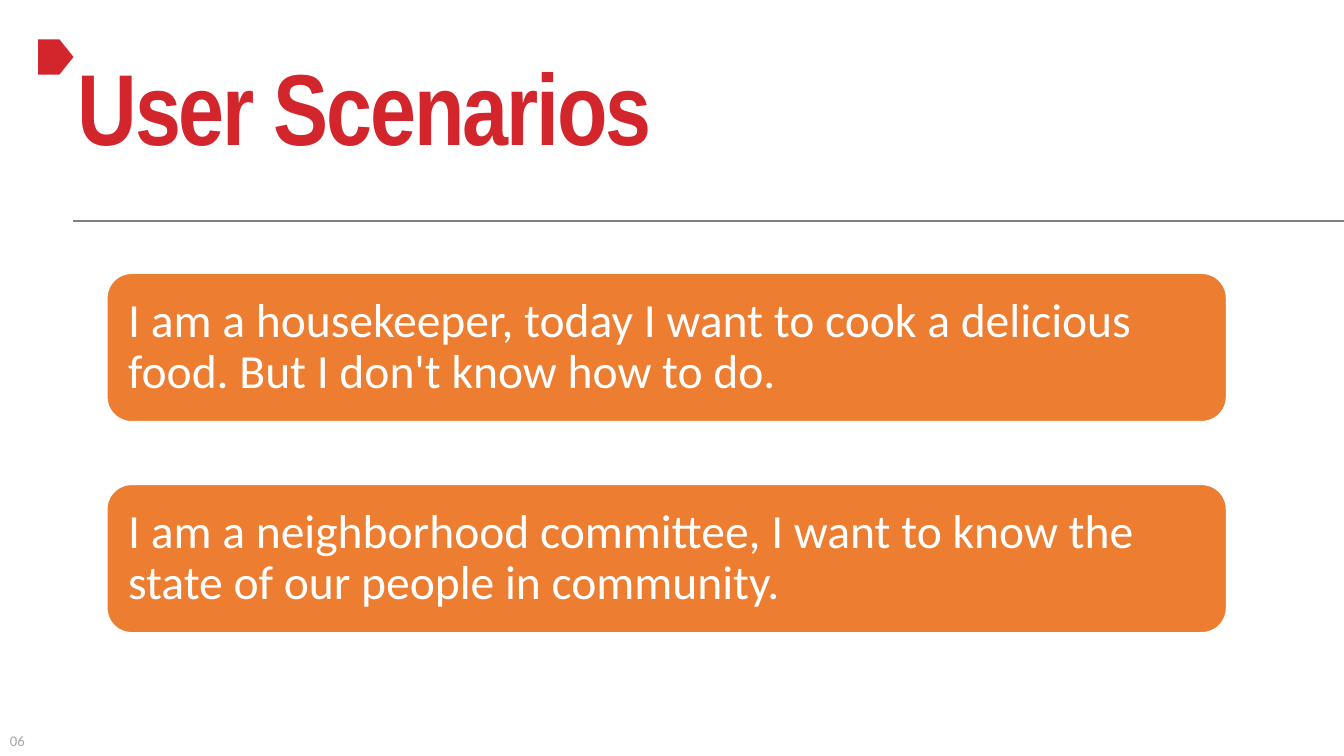
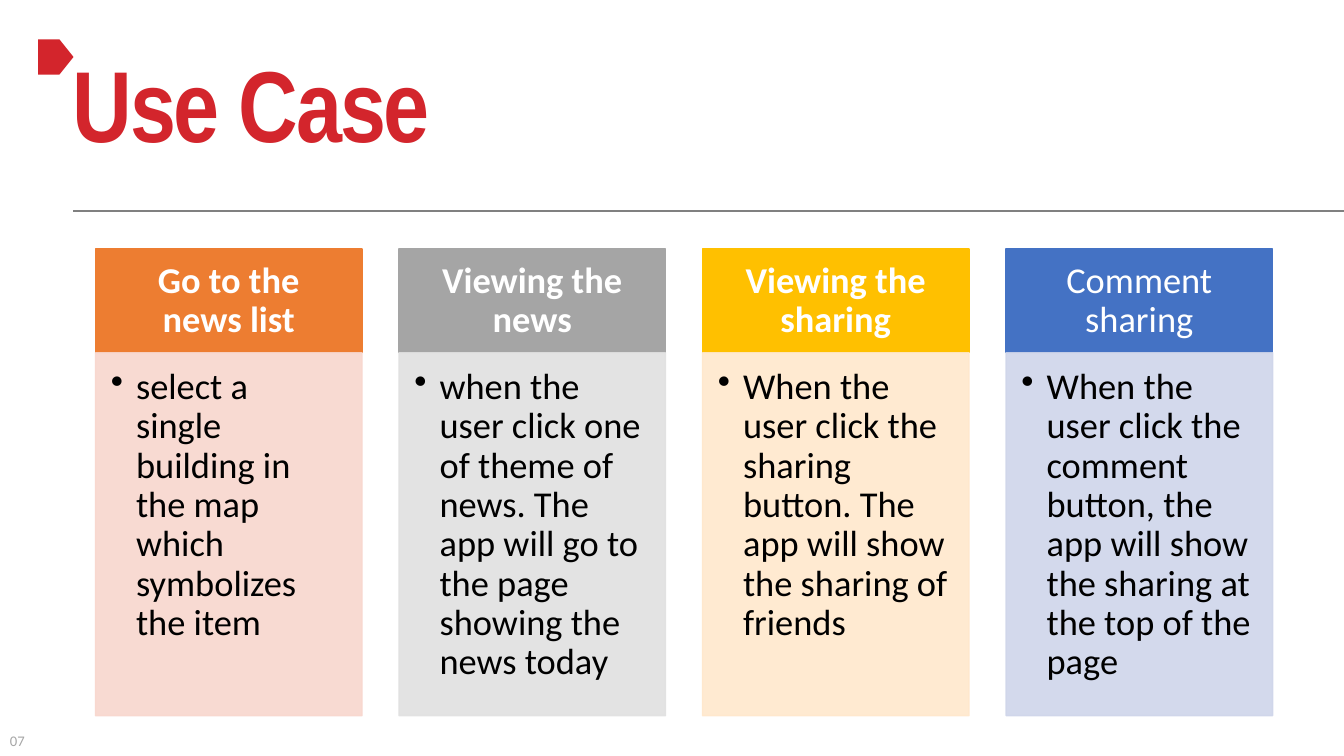
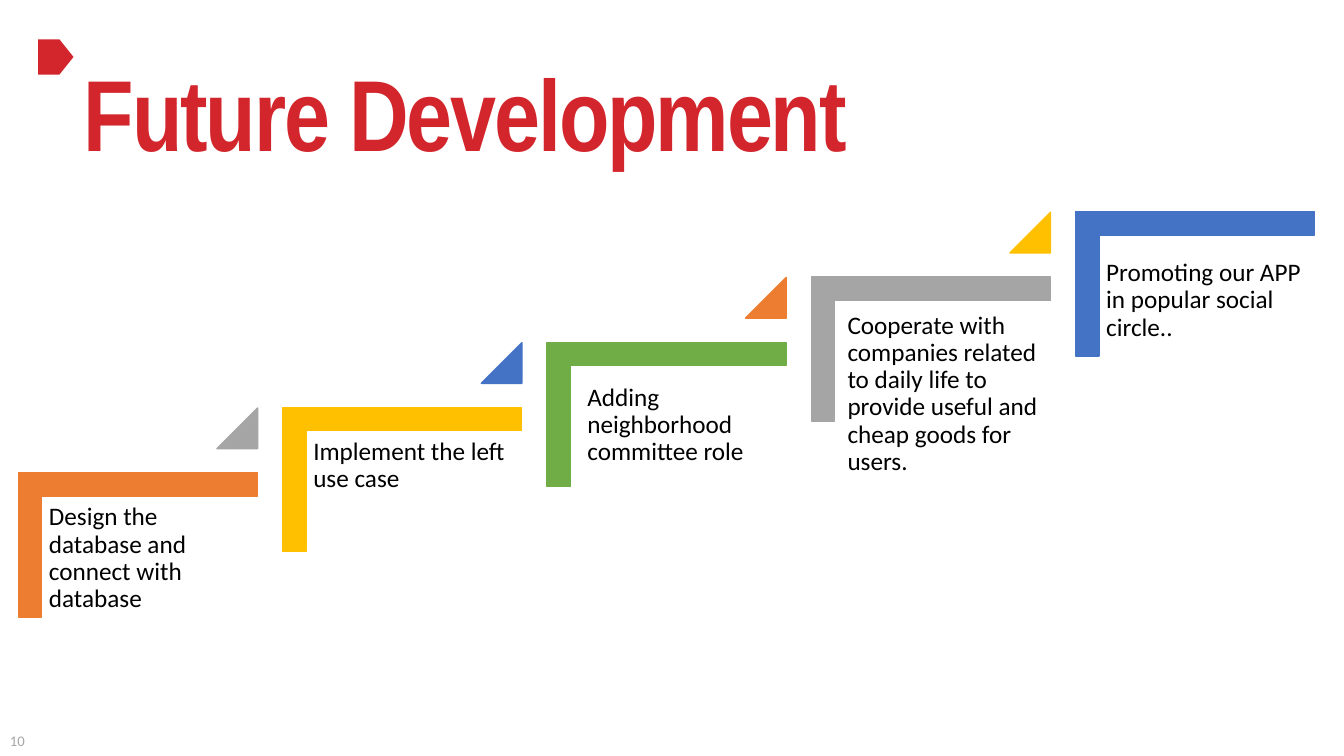
import pptx
import pptx.util
import pptx.oxml
import pptx.oxml.ns
import pptx.dml.color
import pptx.enum.shapes
import pptx.enum.text

Pt = pptx.util.Pt
qn = pptx.oxml.ns.qn
SHAPE = pptx.enum.shapes.MSO_SHAPE
ALIGN = pptx.enum.text.PP_ALIGN
ANCHOR = pptx.enum.text.MSO_ANCHOR

COLORS = {
    "red": "D3252C", "rule": "808080", "number": "A6A6A6",
    "white": "FFFFFF", "black": "000000",
    "orange": "ED7D31", "gray": "A5A5A5", "yellow": "FFC000",
    "blue": "4472C4", "green": "70AD47",
    "pale orange": "F8D7CE", "pale gray": "E1E1E1",
    "pale yellow": "FFE8CC", "pale blue": "CFD5EA",
}


def write(tf, text, size, color, font="Calibri", bold=False, align=ALIGN.LEFT,
          anchor=ANCHOR.TOP, margins=(7.2, 3.6, 7.2, 3.6), leading=1.0,
          tracking=None, bullet=False):
    tf.auto_size = pptx.enum.text.MSO_AUTO_SIZE.NONE
    tf.word_wrap = True
    tf.vertical_anchor = anchor
    tf.margin_left, tf.margin_top, tf.margin_right, tf.margin_bottom = map(Pt, margins)
    p = tf.paragraphs[0]
    p.alignment = align
    p.line_spacing = leading
    if bullet:
        pPr = p._p.get_or_add_pPr()
        pPr.set("marL", str(Pt(18)))
        pPr.set("indent", str(-Pt(18)))
        bu = pptx.oxml.parse_xml(
            f'<a:buChar {pptx.oxml.ns.nsdecls("a")} char="•"/>')
        pPr.append(bu)
    r = p.add_run()
    r.text = text
    r.font.name = font
    r.font.size = Pt(size)
    r.font.bold = bold
    r.font.color.rgb = pptx.dml.color.RGBColor.from_string(COLORS[color])
    if tracking is not None:
        r._r.get_or_add_rPr().set("spc", str(int(tracking * 100)))


def add_box(s, kind, at, fill, line=None, adj=(), alpha=None):
    sp = s.shapes.add_shape(kind, *map(Pt, at))
    sp.shadow.inherit = False
    sp.fill.solid()
    sp.fill.fore_color.rgb = pptx.dml.color.RGBColor.from_string(COLORS[fill])
    if line:
        sp.line.color.rgb = pptx.dml.color.RGBColor.from_string(COLORS[line])
        sp.line.width = Pt(1)
    else:
        sp.line.fill.background()
    for i, value in enumerate(adj):
        sp.adjustments[i] = value
    if alpha:
        for clr in sp._element.spPr.iter(qn("a:srgbClr")):
            clr.append(pptx.oxml.parse_xml(
                f'<a:alpha {pptx.oxml.ns.nsdecls("a")} val="{alpha * 1000}"/>'))
    return sp


prs = pptx.Presentation()
prs.slide_width, prs.slide_height = Pt(960), Pt(540)

pages = [
    ("User Scenarios", "06", 48.2, 28.1, 157.7),
    ("Use Case", "07", 44.6, 25.9, 150.5),
    ("Future Development", "10", 52.6, 32.4, None),
]
slides = []
for title, number, left, top, rule in pages:
    s = prs.slides.add_slide(prs.slide_layouts[5])
    sp = s.shapes.title
    sp.left, sp.top, sp.width, sp.height = Pt(left), Pt(top), Pt(800), Pt(94)
    write(sp.text_frame, title, 72, "red", font="Arial Narrow", bold=True, tracking=-1.5)
    add_box(s, SHAPE.PENTAGON, (27.3, 28.1, 25.2, 25.2), "red", adj=[0.4])
    if rule:
        ln = s.shapes.add_connector(pptx.enum.shapes.MSO_CONNECTOR.STRAIGHT,
                                    Pt(52.5), Pt(rule), Pt(960), Pt(rule))
        ln.line.color.rgb = pptx.dml.color.RGBColor.from_string(COLORS["rule"])
        ln.line.width = Pt(1.5)
        ln._element.spPr.append(pptx.oxml.parse_xml(
            f'<a:effectLst {pptx.oxml.ns.nsdecls("a")}/>'))
    tb = s.shapes.add_textbox(Pt(0), Pt(519), Pt(30), Pt(20))
    write(tb.text_frame, number, 10.5, "number")
    slides.append(s)

scenario_slide, use_case_slide, future_slide = slides

scenarios = [
    "I am a housekeeper, today I want to cook a delicious food. But I don't know how to do.",
    "I am a neighborhood committee, I want to know the state of our people in community.",
]
for i, text in enumerate(scenarios):
    sp = add_box(scenario_slide, SHAPE.ROUNDED_RECTANGLE,
                 (76.4, 195.2 + 150.8 * i, 799.7, 106), "orange", line="white")
    write(sp.text_frame, text, 34, "white", anchor=ANCHOR.MIDDLE,
          margins=(10, 10, 10, 10), leading=0.9)

use_cases = [
    ("orange", True, "Go to the news list",
     "select a single building in the map which symbolizes the item"),
    ("gray", True, "Viewing the news",
     "when the user click one of theme of news. The app will go to the page showing the news today"),
    ("yellow", True, "Viewing the sharing",
     "When the user click the sharing button. The app will show the sharing of friends"),
    ("blue", False, "Comment sharing",
     "When the user click the comment button, the app will show the sharing at the top of the page"),
]
for i, (color, bold, heading, detail) in enumerate(use_cases):
    left = 68.2 + 216.8 * i
    sp = add_box(use_case_slide, SHAPE.RECTANGLE, (left, 178, 190.4, 74), color, line=color)
    write(sp.text_frame, heading, 26, "white", bold=bold, align=ALIGN.CENTER,
          anchor=ANCHOR.MIDDLE, margins=(14.4, 8.4, 14.4, 8.4), leading=0.9)
    pale = "pale " + color
    sp = add_box(use_case_slide, SHAPE.RECTANGLE, (left, 252, 190.4, 259.2),
                 pale, line=pale, alpha=90)
    write(sp.text_frame, detail, 26, "black", margins=(11, 11, 14.4, 16.6),
          leading=0.9, bullet=True)

steps = [
    ("orange", "gray", 0, 0, "Design the database and connect with database"),
    ("yellow", "blue", 0, 0, "Implement the left use case"),
    ("green", "orange", 7, 8, "Adding neighborhood committee role"),
    ("gray", "yellow", 4, 3,
     "Cooperate with companies related to daily life to provide useful and cheap goods for users."),
    ("blue", None, 0, 12, "Promoting our APP in popular social circle.."),
]
for i, (color, arrow, dx, dy, text) in enumerate(steps):
    x, y = 188.8 * i, -46.6 * i
    sp = add_box(future_slide, SHAPE.RECTANGLE, (47 + x, 303.8 + y, 103, 170.8),
                 color, line=color)
    geom = sp._element.spPr.find(qn("a:prstGeom"))
    geom.set("prst", "corner")
    for name in ("adj1", "adj2"):
        geom.find(qn("a:avLst")).append(pptx.oxml.parse_xml(
            f'<a:gd {pptx.oxml.ns.nsdecls("a")} name="{name}" fmla="val 16120"/>'))
    sp.rotation = 90
    tb = future_slide.shapes.add_textbox(Pt(30 + x + dx), Pt(355 + y + dy), Pt(154.2), Pt(135.4))
    write(tb.text_frame, text, 18, "black", margins=(5, 5, 5, 5), leading=0.9)
    if arrow:
        add_box(future_slide, SHAPE.ISOSCELES_TRIANGLE, (155 + x, 291.4 + y, 29, 29),
                arrow, line=arrow, adj=[1])

prs.save("out.pptx")
